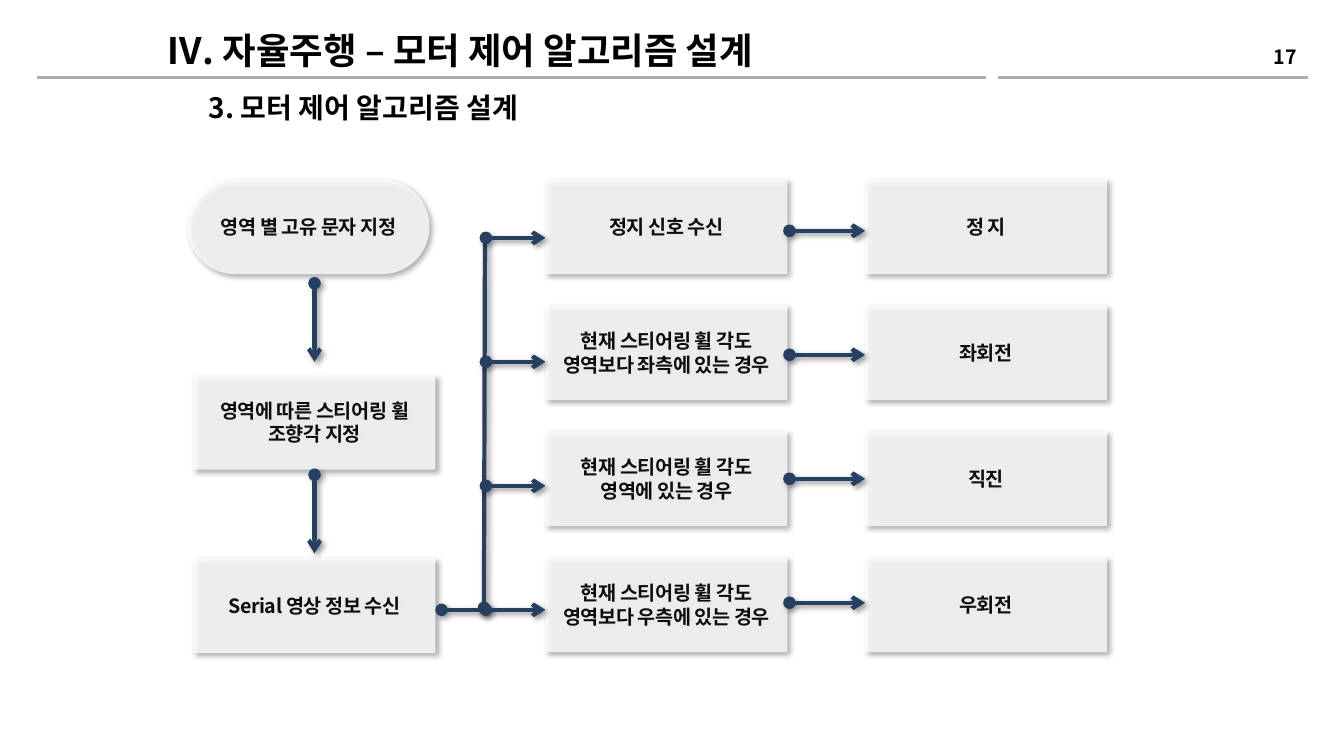
import pptx
import pptx.util
import pptx.dml.color
import pptx.enum.shapes
import pptx.enum.text
import pptx.oxml
import pptx.oxml.ns
import lxml.etree

Inches = pptx.util.Inches
Pt = pptx.util.Pt
SHAPE = pptx.enum.shapes.MSO_SHAPE
ALIGN = pptx.enum.text.PP_ALIGN
ANCHOR = pptx.enum.text.MSO_ANCHOR
qn = pptx.oxml.ns.qn

FONT = "Noto Sans CJK KR"
NAVY, GREY, BLACK, INK, WHITE = "254061", "AEAEAE", "000000", "0D0D0D", "FFFFFF"
BOX_W, BOX_H = 2.4, 0.94
ROW_TOP, ROW_STEP = 1.78, 1.25
ARROW_TOP, ARROW_STEP = 2.29, 1.23
CASE_X, ACTION_X, TRUNK_X = 5.41, 8.58, 4.82

CASES = [
    (["정지 신호 수신"], "정 지"),
    (["현재 스티어링 휠 각도", "영역보다 좌측에 있는 경우"], "좌회전"),
    (["현재 스티어링 휠 각도", "영역에 있는 경우"], "직진"),
    (["현재 스티어링 휠 각도", "영역보다 우측에 있는 경우"], "우회전"),
]


def color(value):
    return pptx.dml.color.RGBColor.from_string(value)


def add_shadow(effects):
    shadow = lxml.etree.SubElement(
        effects, qn("a:outerShdw"), blurRad=str(Pt(4)), dist=str(Pt(3)),
        dir="2700000", algn="tl", rotWithShape="0")
    c = lxml.etree.SubElement(shadow, qn("a:srgbClr"), val=BLACK)
    lxml.etree.SubElement(c, qn("a:alpha"), val="40000")


def write(sp, lines, size, rgb, align, anchor, spacing=None):
    tf = sp.text_frame
    tf.word_wrap = True
    tf.auto_size = pptx.enum.text.MSO_AUTO_SIZE.NONE
    tf.vertical_anchor = anchor
    for i, line in enumerate(lines):
        p = tf.paragraphs[0] if i == 0 else tf.add_paragraph()
        p.alignment = align
        p.space_before = Pt(0)
        r = p.add_run()
        r.text = line
        r.font.size = Pt(size)
        r.font.bold = True
        r.font.name = FONT
        r.font.color.rgb = color(rgb)
        rpr = r.font._element
        lxml.etree.SubElement(rpr, qn("a:ea"), typeface=FONT)
        if spacing is not None:
            rpr.set("spc", str(spacing))


def place(sp, x, y, w, h):
    sp.left, sp.top, sp.width, sp.height = map(Inches, (x, y, w, h))


def add_line(s, x1, y1, x2, y2, rgb, width):
    line = s.shapes.add_connector(
        pptx.enum.shapes.MSO_CONNECTOR.STRAIGHT, *map(Inches, (x1, y1, x2, y2)))
    line.line.color.rgb = color(rgb)
    line.line.width = Pt(width)
    effects = lxml.etree.SubElement(line._element.spPr, qn("a:effectLst"))
    return line, effects


def add_flow(s, x1, y1, x2, y2, arrow=True):
    line, effects = add_line(s, x1, y1, x2, y2, NAVY, 3)
    ln = line.line._get_or_add_ln()
    lxml.etree.SubElement(ln, qn("a:headEnd"), type="oval")
    if arrow:
        lxml.etree.SubElement(ln, qn("a:tailEnd"), type="arrow")
    add_shadow(effects)


def add_box(s, x, y, lines, preset=SHAPE.RECTANGLE):
    sp = s.shapes.add_shape(preset, *map(Inches, (x, y, BOX_W, BOX_H)))
    if preset == SHAPE.ROUNDED_RECTANGLE:
        sp.adjustments[0] = 0.5
    sp.fill.solid()
    sp.fill.fore_color.rgb = color(WHITE)
    fill = sp._element.spPr.find(qn("a:solidFill"))
    lxml.etree.SubElement(fill[0], qn("a:alpha"), val="78000")
    sp.line.fill.background()
    sp.shadow.inherit = False
    add_shadow(sp._element.spPr.find(qn("a:effectLst")))
    sp.text_frame.margin_left = sp.text_frame.margin_right = Inches(0.05)
    write(sp, lines, 14, INK, ALIGN.CENTER, ANCHOR.MIDDLE, -30)


def add_header(s, x, y, w):
    rule_y = y + 0.55
    add_line(s, x, rule_y, x + 9.41, rule_y, GREY, 2)
    add_line(s, x + 9.53, rule_y, x + w, rule_y, GREY, 2)
    number = s.shapes.add_textbox(0, 0, 0, 0)
    place(number, x + w - 0.68, y + 0.14, 0.67, 0.4)
    write(number, ["17"], 14, BLACK, ALIGN.RIGHT, ANCHOR.MIDDLE)
    title, subtitle = s.placeholders
    place(title, x + 1.18, y, 6.94, 0.56)
    write(title, ["Ⅳ. 자율주행 – 모터 제어 알고리즘 설계"], 26, BLACK, ALIGN.LEFT, ANCHOR.MIDDLE)
    place(subtitle, x + 1.6, y + 0.63, 6.18, 0.55)
    write(subtitle, ["3. 모터 제어 알고리즘 설계"], 20, BLACK, ALIGN.LEFT, ANCHOR.TOP)


def add_steps(s, x, y):
    add_box(s, x, y, ["영역 별 고유 문자 지정"], SHAPE.ROUNDED_RECTANGLE)
    add_box(s, x + 0.06, y + 1.94, ["영역에 따른 스티어링 휠", "조향각 지정"])
    add_box(s, x + 0.06, y + 3.76, ["Serial 영상 정보 수신"])
    for top in (y + 1.03, y + 2.93):
        add_flow(s, x + 1.26, top, x + 1.26, top + 0.78)


def add_cases(s, top):
    for i, (case, action) in enumerate(CASES):
        y = top + i * ROW_STEP
        add_box(s, CASE_X, y, case)
        add_box(s, ACTION_X, y, [action])
        arrow_y = ARROW_TOP + i * ARROW_STEP
        add_flow(s, CASE_X + BOX_W + 0.02, arrow_y, ACTION_X, arrow_y)
        add_flow(s, TRUNK_X, arrow_y + 0.07, CASE_X, arrow_y + 0.07)


def add_trunk(s, x, top, bottom):
    add_flow(s, x - 0.44, bottom, x - 0.04, bottom, arrow=False)
    add_flow(s, x - 0.02, bottom - 0.02, x - 0.01, top, arrow=False)


def main():
    prs = pptx.Presentation()
    prs.slide_width, prs.slide_height = Inches(13.33), Inches(7.5)
    s = prs.slides.add_slide(prs.slide_layouts[0])
    add_header(s, 0.37, 0.22, 12.6)
    add_steps(s, 1.86, ROW_TOP)
    add_trunk(s, TRUNK_X, 2.37, 6.05)
    add_cases(s, ROW_TOP)
    prs.save("out.pptx")


if __name__ == "__main__":
    main()
